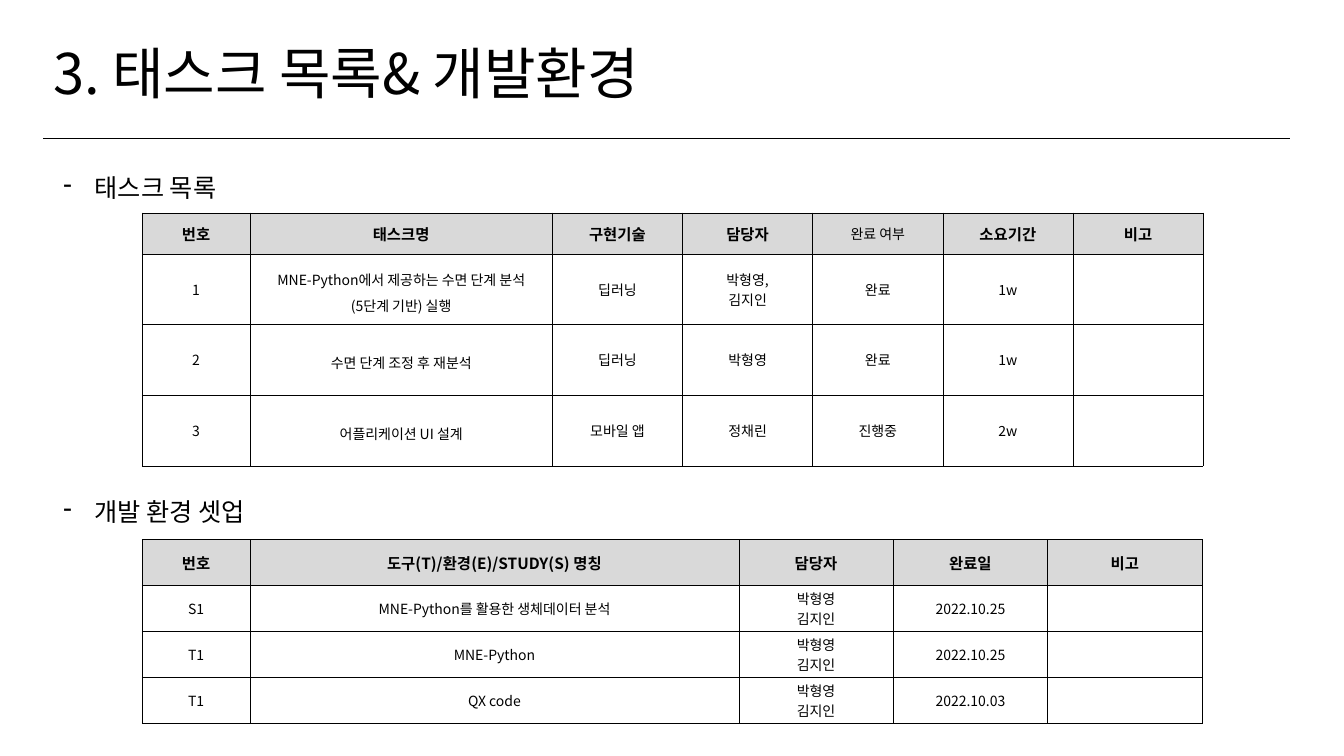
from lxml import etree
from pptx import Presentation
from pptx.dml.color import RGBColor
from pptx.enum.shapes import MSO_CONNECTOR
from pptx.enum.text import MSO_ANCHOR, MSO_AUTO_SIZE, PP_ALIGN
from pptx.oxml.ns import qn
from pptx.util import Cm, Pt

FONT = "Noto Sans CJK KR"
STRAIGHT = MSO_CONNECTOR.STRAIGHT
TOP, MIDDLE = MSO_ANCHOR.TOP, MSO_ANCHOR.MIDDLE
CENTER, JUSTIFY = PP_ALIGN.CENTER, PP_ALIGN.JUSTIFY
TITLE_ONLY = 5


def color(value):
    return RGBColor.from_string(value)


def set_font(paragraph, size, bold=False):
    font = paragraph.font
    font.name, font.size, font.bold = FONT, Pt(size), bold
    font.color.rgb = color("000000")
    east_asian = etree.SubElement(paragraph._p.pPr.find(qn("a:defRPr")), qn("a:ea"))
    east_asian.set("typeface", FONT)


deck = Presentation()
deck.slide_width, deck.slide_height = Cm(33.87), Cm(19.05)
page = deck.slides.add_slide(deck.slide_layouts[TITLE_ONLY])

title = page.shapes.title
title.left, title.top, title.width, title.height = Cm(1.09), Cm(1.04), Cm(17.93), Cm(2.06)
title.text = "3. 태스크 목록& 개발환경"
title.text_frame.vertical_anchor = TOP
title.text_frame.auto_size = MSO_AUTO_SIZE.NONE
para = title.text_frame.paragraphs[0]
para.alignment, para.line_spacing, para.space_before = JUSTIFY, 0.9, Pt(10)
set_font(para, 40)

rule = page.shapes.add_connector(STRAIGHT, Cm(1.09), Cm(3.49), Cm(32.51), Cm(3.49))
rule.line.color.rgb = color("000000")
rule.line.width = Pt(0.5)
etree.SubElement(rule._element.spPr, qn("a:effectLst"))

task_rows = [
    ["번호", "태스크명", "구현기술", "담당자", "완료 여부", "소요기간", "비고"],
    ["1", "MNE-Python에서 제공하는 수면 단계 분석\n(5단계 기반) 실행", "딥러닝",
     "박형영,\n김지인", "완료", "1w", ""],
    ["2", "수면 단계 조정 후 재분석", "딥러닝", "박형영", "완료", "1w", ""],
    ["3", "어플리케이션 UI 설계", "모바일 앱", "정채린", "진행중", "2w", ""],
]
members = "박형영\n김지인"
setup_rows = [
    ["번호", "도구(T)/환경(E)/STUDY(S) 명칭", "담당자", "완료일", "비고"],
    ["S1", "MNE-Python를 활용한 생체데이터 분석", members, "2022.10.25", ""],
    ["T1", "MNE-Python", members, "2022.10.25", ""],
    ["T1", "QX code", members, "2022.10.03", ""],
]
sections = [
    ("태스크 목록", 3.84, 5.36, task_rows, [2.72, 7.62] + [3.28] * 5, [1.04] + [1.78] * 3, 1.3),
    ("개발 환경 셋업", 12.01, 13.59, setup_rows, [2.72, 12.32] + [3.89] * 3, [1.16] * 4, 1.0),
]

for heading, heading_top, table_top, rows, widths, heights, name_spacing in sections:
    box = page.shapes.add_textbox(Cm(1.35), Cm(heading_top), Cm(11.43), Cm(1.3))
    box.text_frame.word_wrap = True
    para = box.text_frame.paragraphs[0]
    para.text = heading
    para.line_spacing = 1.5
    properties = para._p.get_or_add_pPr()
    properties.set("marL", str(Cm(0.79)))
    properties.set("indent", str(-Cm(0.79)))
    etree.SubElement(properties, qn("a:buChar")).set("char", "-")
    set_font(para, 18)

    frame = page.shapes.add_table(len(rows), len(widths), Cm(3.58), Cm(table_top),
                                  Cm(sum(widths)), Cm(sum(heights)))
    table = frame.table
    for column, width in zip(table.columns, widths):
        column.width = Cm(width)
    for row, height in zip(table.rows, heights):
        row.height = Cm(height)

    for row_index, row in enumerate(rows):
        for column_index, text in enumerate(row):
            cell = table.cell(row_index, column_index)
            is_header = row_index == 0
            cell.vertical_anchor = MIDDLE
            cell.margin_left = cell.margin_right = Cm(0.18)
            cell.margin_top = cell.margin_bottom = Cm(0.05)
            for side in ("lnL", "lnR", "lnT", "lnB"):
                border = etree.SubElement(cell._tc.get_or_add_tcPr(), qn("a:" + side))
                border.set("w", str(Pt(0.28)))
                fill = etree.SubElement(border, qn("a:solidFill"))
                etree.SubElement(fill, qn("a:srgbClr")).set("val", "000000")
            if is_header:
                cell.fill.solid()
                cell.fill.fore_color.rgb = color("D9D9D9")
            else:
                cell.fill.background()
            cell.text = text
            is_bold = is_header and text != "완료 여부"
            for para in cell.text_frame.paragraphs:
                para.alignment = CENTER
                if column_index == 1 and not is_header:
                    para.line_spacing = name_spacing
                set_font(para, 11 if is_bold else 10, is_bold)

deck.save("out.pptx")
